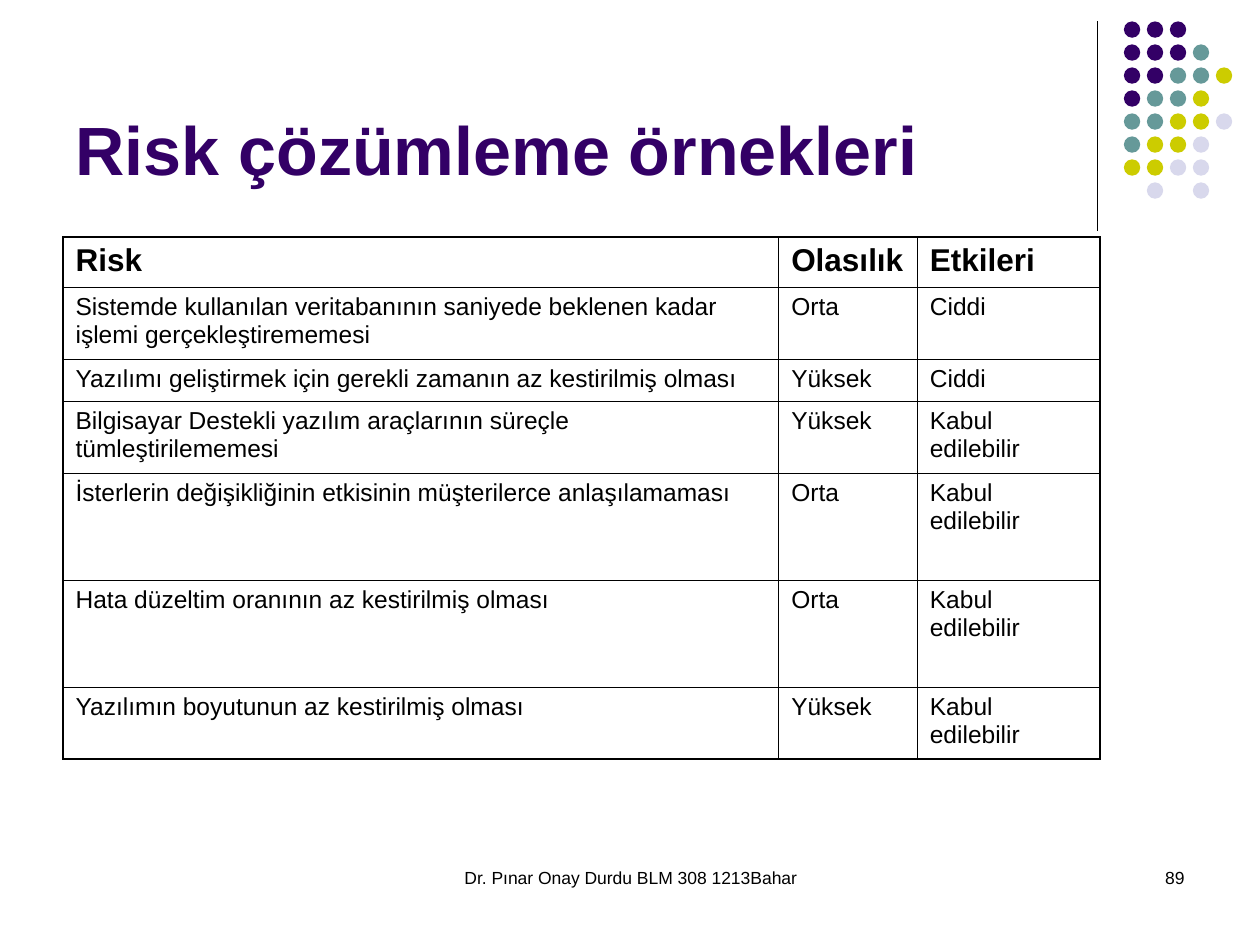
from typing import NamedTuple

from lxml import etree
from pptx import Presentation
from pptx.dml.color import RGBColor
from pptx.enum.shapes import MSO_CONNECTOR, MSO_SHAPE
from pptx.enum.text import MSO_ANCHOR, PP_ALIGN
from pptx.oxml.ns import qn
from pptx.util import Inches, Pt

ELLIPSE = MSO_SHAPE.OVAL
STRAIGHT = MSO_CONNECTOR.STRAIGHT
BOTTOM = MSO_ANCHOR.BOTTOM
LEFT, CENTER, RIGHT = PP_ALIGN.LEFT, PP_ALIGN.CENTER, PP_ALIGN.RIGHT

FONT = "Arial"
COLORS = {
    "black": "000000",
    "purple": "330066",
    "teal": "669999",
    "olive": "CCCC00",
    "lilac": "D8D8EC",
}

# Dot pattern: one letter per dot, a dot sign where the grid is empty
DOT_ROWS = ["ppp..", "pppt.", "pptto", "ptto.", "ttool", "tool.", "ooll.", ".l.l."]
DOT_COLORS = {"p": "purple", "t": "teal", "o": "olive", "l": "lilac"}
DOT_LEFT, DOT_TOP, DOT_SIZE = 8.92, 0.17, 0.13
DOT_PITCH = 0.73 / 4

COLUMN_WIDTHS = [5.68, 1.1, 1.45]
THIN, THICK = 0.45, 1.08


class RiskRow(NamedTuple):
    risk: str
    likelihood: str
    effect: str
    height: float


class FooterText(NamedTuple):
    text: str
    left: float
    width: float
    alignment: PP_ALIGN


RISK_ROWS = [
    RiskRow("Risk", "Olasılık", "Etkileri", 0.4),
    RiskRow("Sistemde kullanılan veritabanının saniyede beklenen kadar "
            "işlemi gerçekleştirememesi", "Orta", "Ciddi", 0.57),
    RiskRow("Yazılımı geliştirmek için gerekli zamanın az kestirilmiş olması",
            "Yüksek", "Ciddi", 0.33),
    RiskRow("Bilgisayar Destekli yazılım araçlarının süreçle tümleştirilememesi",
            "Yüksek", "Kabul edilebilir", 0.57),
    RiskRow("İsterlerin değişikliğinin etkisinin müşterilerce anlaşılamaması",
            "Orta", "Kabul edilebilir", 0.85),
    RiskRow("Hata düzeltim oranının az kestirilmiş olması",
            "Orta", "Kabul edilebilir", 0.85),
    RiskRow("Yazılımın boyutunun az kestirilmiş olması",
            "Yüksek", "Kabul edilebilir", 0.57),
]
FOOTERS = [
    FooterText("Dr. Pınar Onay Durdu BLM 308 1213Bahar", 3.42, 3.17, CENTER),
    FooterText("89", 7.17, 2.33, RIGHT),
]


def color(name: str) -> RGBColor:
    return RGBColor.from_string(COLORS[name])


def write_text(text_frame, text: str, size: float, color_name: str = "black",
               bold: bool = False, alignment: PP_ALIGN = LEFT) -> None:
    text_frame.word_wrap = True
    paragraph = text_frame.paragraphs[0]
    paragraph.text = text
    paragraph.alignment = alignment
    font = paragraph.font
    font.name, font.size, font.bold = FONT, Pt(size), bold
    font.color.rgb = color(color_name)


def add_divider(slide) -> None:
    line = slide.shapes.add_connector(
        STRAIGHT, Inches(8.71), Inches(0.17), Inches(8.71), Inches(1.83))
    line.line.color.rgb = color("black")
    line.line.width = Pt(0.75)
    etree.SubElement(line._element.spPr, qn("a:effectLst"))


def add_dots(slide) -> None:
    group = slide.shapes.add_group_shape()
    for row, letters in enumerate(DOT_ROWS):
        for column, letter in enumerate(letters):
            if letter not in DOT_COLORS:
                continue
            dot = group.shapes.add_shape(
                ELLIPSE, Inches(DOT_LEFT + column * DOT_PITCH),
                Inches(DOT_TOP + row * DOT_PITCH), Inches(DOT_SIZE), Inches(DOT_SIZE))
            dot.shadow.inherit = False
            dot.fill.solid()
            dot.fill.fore_color.rgb = color(DOT_COLORS[letter])
            dot.line.fill.background()


def add_footer(slide, footer: FooterText) -> None:
    box = slide.shapes.add_textbox(
        Inches(footer.left), Inches(6.83), Inches(footer.width), Inches(0.5))
    write_text(box.text_frame, footer.text, 10, alignment=footer.alignment)


def format_title(slide) -> None:
    title = slide.shapes.title
    title.left, title.top = Inches(0.5), Inches(0.13)
    title.width, title.height = Inches(8.25), Inches(1.42)
    title.text_frame.vertical_anchor = BOTTOM
    write_text(title.text_frame, "Risk çözümleme örnekleri", 39, "purple", bold=True)


def set_borders(cell, widths: dict[str, float]) -> None:
    properties = cell._tc.get_or_add_tcPr()
    for side, width in widths.items():
        border = etree.SubElement(properties, qn(f"a:ln{side}"), w=str(Pt(width)))
        fill = etree.SubElement(border, qn("a:solidFill"))
        etree.SubElement(fill, qn("a:srgbClr"), val=COLORS["black"])


def add_risk_table(slide) -> None:
    row_count, column_count = len(RISK_ROWS), len(COLUMN_WIDTHS)
    table = slide.shapes.add_table(
        row_count, column_count, Inches(0.5), Inches(1.88),
        Inches(sum(COLUMN_WIDTHS)), Inches(sum(row.height for row in RISK_ROWS))).table
    table.first_row = table.horz_banding = False
    for column, width in zip(table.columns, COLUMN_WIDTHS):
        column.width = Inches(width)
    for row_index, row in enumerate(RISK_ROWS):
        table.rows[row_index].height = Inches(row.height)
        is_header = row_index == 0
        for column_index, text in enumerate((row.risk, row.likelihood, row.effect)):
            cell = table.cell(row_index, column_index)
            write_text(cell.text_frame, text, 18 if is_header else 14, bold=is_header)
            # Thick lines only around the outside of the table
            set_borders(cell, {
                "L": THICK if column_index == 0 else THIN,
                "R": THICK if column_index == column_count - 1 else THIN,
                "T": THICK if is_header else THIN,
                "B": THICK if row_index == row_count - 1 else THIN,
            })
            cell.fill.background()


def main() -> None:
    presentation = Presentation()
    presentation.slide_width, presentation.slide_height = Inches(10), Inches(7.5)
    slide = presentation.slides.add_slide(presentation.slide_layouts[5])

    # Corner decoration
    add_divider(slide)
    add_dots(slide)

    # Footer, title and table
    for footer in FOOTERS:
        add_footer(slide, footer)
    format_title(slide)
    add_risk_table(slide)

    presentation.save("out.pptx")


if __name__ == "__main__":
    main()
